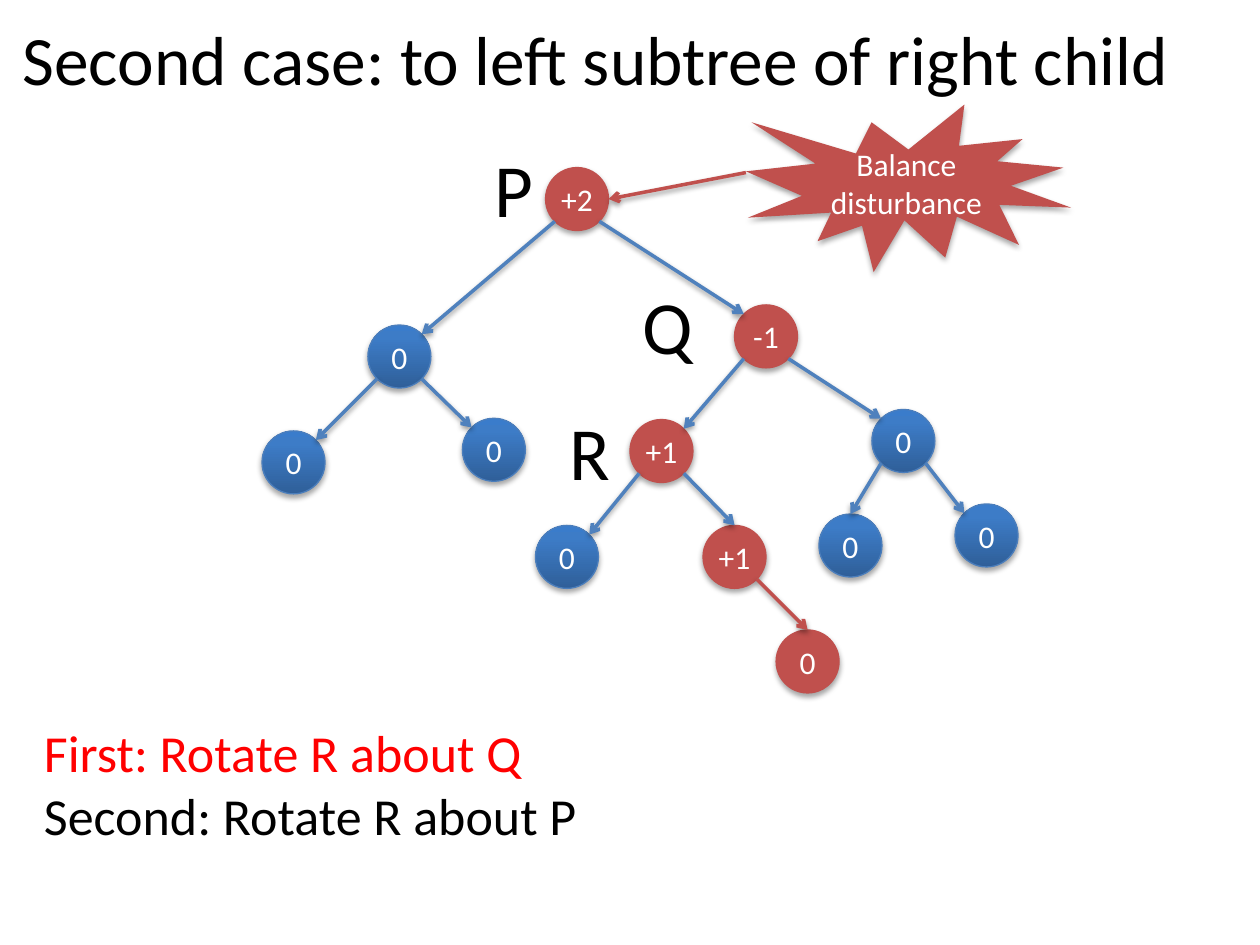
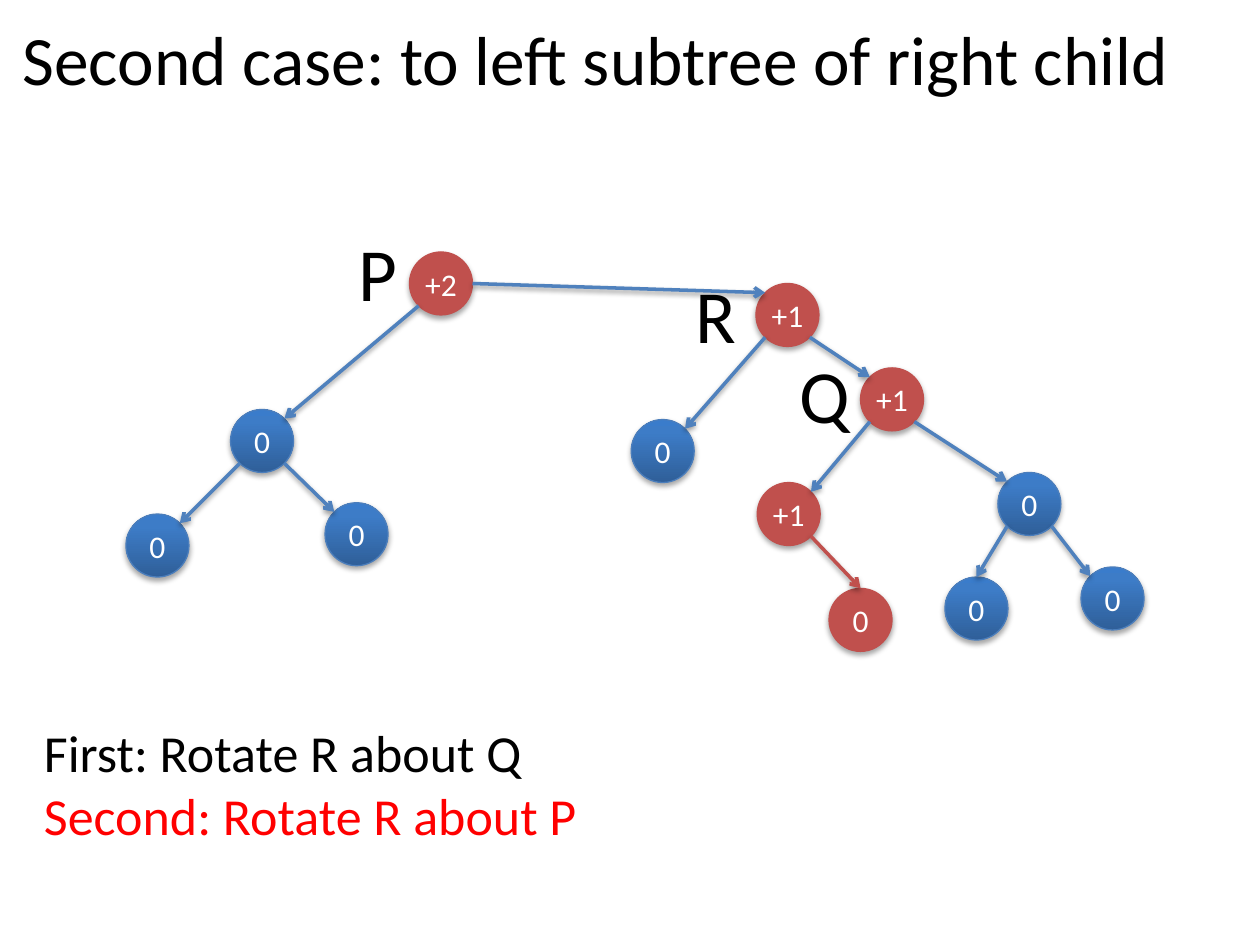
"""Builds two slides on AVL double rotation: each a tree with balance factors."""
import copy
import math

import pptx
import pptx.dml.color
import pptx.enum.shapes
import pptx.enum.text
import pptx.oxml
import pptx.oxml.ns
import pptx.util

RGB = pptx.dml.color.RGBColor
KIND = pptx.enum.shapes.MSO_SHAPE
ANCHOR = pptx.enum.text.MSO_ANCHOR
ALIGN = pptx.enum.text.PP_ALIGN

BLACK = RGB(0x00, 0x00, 0x00)
WHITE = RGB(0xFF, 0xFF, 0xFF)
RED = RGB(0xFF, 0x00, 0x00)
BRICK = RGB(0xC0, 0x50, 0x4D)
BLUE = RGB(0x4F, 0x81, 0xBD)
RIM = RGB(0x4B, 0x7E, 0xBC)
SHADES = [(0, RGB(0x2F, 0x5F, 0x99)), (0.8, RGB(0x3D, 0x7C, 0xC7)),
          (1, RGB(0x3A, 0x7C, 0xCB))]

PX = 9144
SIZE = 50
FONT = "Calibri"
TITLE = "Second case: to left subtree of right child"
STEPS = ["First: Rotate R about Q", "Second: Rotate R about P"]
DIAG = SIZE / 2 * math.sqrt(0.5)
SIDES = {"n": (0, -SIZE / 2), "e": (SIZE / 2, 0), "nw": (-DIAG, -DIAG),
         "ne": (DIAG, -DIAG), "sw": (-DIAG, DIAG), "se": (DIAG, DIAG)}

SLIDES = [
    {
        "calm": {"A": (292, 258), "B": (208, 342), "C": (367, 332),
                 "D": (692, 325), "E": (650, 408), "F": (758, 400),
                 "G": (425, 417)},
        "hot": {"P": (433, 133, "+2"), "Q": (583, 242, "-1"),
                "R": (500, 333, "+1"), "S": (558, 417, "+1"),
                "T": (616, 500, "0")},
        "edges": ["P sw A ne", "P se Q nw", "A sw B ne", "A se C nw",
                  "Q sw R ne", "Q se D nw", "R sw G ne", "R se S n",
                  "D sw E n", "D se F nw", "S se T n"],
        "names": {"P": (383, 108), "Q": (500, 217), "R": (442, 317)},
        "burst": ("Balance disturbance", (592, 83, 258, 133), (592, 137)),
        "step": 0,
    },
    {
        "calm": {"A": (183, 325), "B": (100, 408), "C": (258, 399),
                 "D": (792, 375), "E": (750, 458), "F": (858, 450),
                 "G": (501, 333)},
        "hot": {"P": (325, 200, "+2"), "R": (600, 225, "+1"),
                "Q": (683, 292, "+1"), "S": (601, 383, "+1"),
                "T": (658, 467, "0")},
        "edges": ["P sw A ne", "P e R nw", "A sw B ne", "A se C nw",
                  "R sw G ne", "R se Q nw", "Q sw S ne", "Q se D nw",
                  "D sw E n", "D se F nw", "S se T n"],
        "names": {"P": (275, 175), "Q": (625, 272), "R": (542, 208)},
        "burst": None,
        "step": 1,
    },
]


def emu(*nums):
    return [round(num * PX) for num in nums]


def style(para, size, color, align=ALIGN.LEFT):
    para.alignment = align
    for run in para.runs:
        run.font.name = FONT
        run.font.size = pptx.util.Pt(size)
        run.font.color.rgb = color


def cast(shape, alpha, dist):
    props = shape._element.spPr
    tag = pptx.oxml.ns.qn("a:effectLst")
    for old in props.findall(tag):
        props.remove(old)
    props.append(pptx.oxml.parse_xml(
        f'<a:effectLst {pptx.oxml.ns.nsdecls("a")}>'
        f'<a:outerShdw blurRad="{round(3.1 * 12700)}" dist="{round(dist * 12700)}"'
        ' dir="5400000" rotWithShape="0"><a:srgbClr val="000000">'
        f'<a:alpha val="{alpha * 1000}"/></a:srgbClr></a:outerShdw></a:effectLst>'))


def blend(fill, props):
    fill.gradient()
    fill.gradient_angle = 90
    stops = props.find(pptx.oxml.ns.qn("a:gradFill")).find(pptx.oxml.ns.qn("a:gsLst"))
    stops.append(copy.deepcopy(stops[0]))
    for stop, (pos, color) in zip(fill.gradient_stops, SHADES):
        stop.position = pos
        stop.color.rgb = color


def add_form(slide, kind, box, text, hot=True):
    form = slide.shapes.add_shape(kind, *emu(*box))
    if hot:
        form.fill.solid()
        form.fill.fore_color.rgb = BRICK
    else:
        blend(form.fill, form._element.spPr)
    form.shadow.inherit = False
    frame = form.text_frame
    frame.text = text
    frame.word_wrap = True
    frame.vertical_anchor = ANCHOR.MIDDLE
    style(frame.paragraphs[0], 18, WHITE, ALIGN.CENTER)
    return form


def add_node(slide, x, y, text="0", hot=False):
    node = add_form(slide, KIND.OVAL, (x, y, SIZE, SIZE), text, hot)
    node.line.color.rgb = BRICK if hot else RIM
    node.line.width = pptx.util.Pt(0.75)
    frame = node.text_frame
    frame.margin_left = frame.margin_right = 0
    frame.margin_top = frame.margin_bottom = 0
    cast(node, 35, 1.8)
    return node


def add_arrow(slide, start, end, color):
    arrow = slide.shapes.add_connector(
        pptx.enum.shapes.MSO_CONNECTOR.STRAIGHT, *emu(*start, *end))
    arrow.line.color.rgb = color
    arrow.line.width = pptx.util.Pt(2)
    arrow.line._get_or_add_ln().append(pptx.oxml.parse_xml(
        f'<a:tailEnd {pptx.oxml.ns.nsdecls("a")} type="arrow"/>'))
    cast(arrow, 38, 1.6)
    return arrow


def add_text(slide, box, text, size, colors):
    frame = slide.shapes.add_textbox(*emu(*box)).text_frame
    frame.word_wrap = True
    frame.text = text
    for para, color in zip(frame.paragraphs, colors):
        style(para, size, color)


def set_title(slide):
    title = slide.shapes.title
    title.left, title.top, title.width, title.height = emu(8, 8, 975, 95)
    frame = title.text_frame
    frame.text = TITLE
    frame.auto_size = pptx.enum.text.MSO_AUTO_SIZE.NONE
    frame.vertical_anchor = ANCHOR.TOP
    style(frame.paragraphs[0], 39.6, BLACK)


def add_tree(slide, data):
    spots = {**data["calm"], **data["hot"]}
    nodes = {key: add_node(slide, *spot, hot=key in data["hot"])
             for key, spot in spots.items()}

    def point(key, side):
        x, y = spots[key][:2]
        dx, dy = SIDES[side]
        return x + SIZE / 2 + dx, y + SIZE / 2 + dy

    for edge in data["edges"]:
        top, out, low, into = edge.split()
        color = BRICK if low == "T" else BLUE
        arrow = add_arrow(slide, point(top, out), point(low, into), color)
        if into == "n":
            arrow.end_connect(nodes[low], 0)

    if data["burst"]:
        text, box, tip = data["burst"]
        burst = add_form(slide, KIND.EXPLOSION1, box, text)
        burst.line.fill.background()
        cast(burst, 35, 1.8)
        add_arrow(slide, tip, point("P", "e"), BRICK)


def main():
    deck = pptx.Presentation()
    deck.slide_width, deck.slide_height = emu(1000, 750)
    for data in SLIDES:
        slide = deck.slides.add_slide(deck.slide_layouts[5])
        set_title(slide)
        add_tree(slide, data)
        for name, spot in data["names"].items():
            add_text(slide, (*spot, 58, 95), name, 42.9, [BLACK])
        colors = [RED if i == data["step"] else BLACK for i in range(len(STEPS))]
        add_text(slide, (25, 567, 975, 95), "\n".join(STEPS), 29.7, colors)
    deck.save("out.pptx")


if __name__ == "__main__":
    main()
